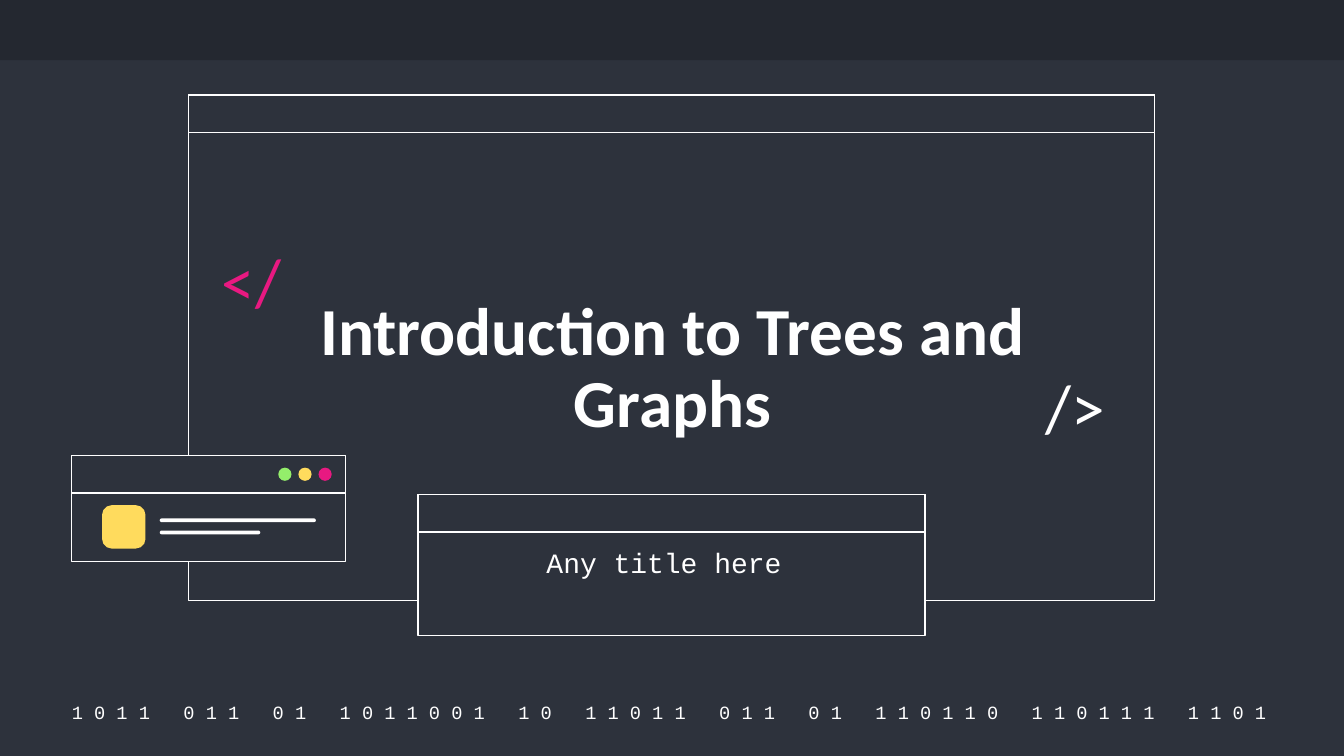
from dataclasses import dataclass

from pptx import Presentation
from pptx.dml.color import RGBColor
from pptx.enum.shapes import MSO_SHAPE
from pptx.enum.text import MSO_ANCHOR, PP_ALIGN
from pptx.util import Cm, Pt

COLORS = {
    "dark": "2D323C",
    "band": "242830",
    "white": "FFFFFF",
    "pink": "E81981",
    "yellow": "FFDB5D",
    "green": "94EE6B",
}
TITLE_BAR = 0.71  # height of every window's title bar, cm


@dataclass
class Box:
    left: float
    top: float
    width: float
    height: float

    def emu(self) -> list:
        return [Cm(v) for v in (self.left, self.top, self.width, self.height)]


@dataclass
class Label:
    text: str
    box: Box
    size: float
    font: str = "Calibri"
    color: str = "white"
    bold: bool = False
    align: PP_ALIGN = PP_ALIGN.CENTER
    anchor: MSO_ANCHOR = MSO_ANCHOR.MIDDLE
    spacing: float = 0.9


def rgb(name: str) -> RGBColor:
    return RGBColor.from_string(COLORS[name])


def draw_shape(shapes, kind: MSO_SHAPE, box: Box, fill: str,
               outlined: bool = False, rounding: float | None = None) -> None:
    sp = shapes.add_shape(kind, *box.emu())
    sp.shadow.inherit = False
    sp.fill.solid()
    sp.fill.fore_color.rgb = rgb(fill)
    if outlined:
        sp.line.color.rgb = rgb("white")
        sp.line.width = Pt(0.75)
    else:
        sp.line.fill.background()
    if rounding is not None:
        sp.adjustments[0] = rounding


def draw_window(shapes, box: Box) -> None:
    bar = Box(box.left, box.top, box.width, TITLE_BAR)
    for part in (box, bar):
        draw_shape(shapes, MSO_SHAPE.RECTANGLE, part, "dark", outlined=True)


def draw_label(shapes, label: Label) -> None:
    tf = shapes.add_textbox(*label.box.emu()).text_frame
    tf.word_wrap = True
    tf.vertical_anchor = label.anchor
    tf.margin_left = tf.margin_right = tf.margin_top = tf.margin_bottom = Cm(0.25)
    p = tf.paragraphs[0]
    p.text = label.text
    p.alignment = label.align
    p.line_spacing = label.spacing
    font = p.runs[0].font
    font.name, font.size, font.bold = label.font, Pt(label.size), label.bold
    font.color.rgb = rgb(label.color)


prs = Presentation()
prs.slide_width, prs.slide_height = Cm(25.4), Cm(14.29)
s = prs.slides.add_slide(prs.slide_layouts[6])
s.background.fill.solid()
s.background.fill.fore_color.rgb = rgb("dark")

# Top band and binary footer
draw_shape(s.shapes, MSO_SHAPE.RECTANGLE, Box(0, 0, 25.4, 1.14), "band")
groups = "1011 011 01 1011001 10 11011 011 01 110110 110111 1101".split()
binary = "   ".join(" ".join(group) for group in groups) + " "
draw_label(s.shapes, Label(binary, Box(0.97, 13.21, 23.55, 0.51), 10,
                           "Courier New", spacing=1.0))

# Main and subtitle windows
for window in (Box(3.56, 1.8, 18.26, 9.55), Box(7.9, 9.35, 9.58, 2.67)):
    draw_window(s.shapes.add_group_shape().shapes, window)

# Code brackets, title and subtitle
LABELS = [
    Label("</", Box(3.94, 4.55, 1.96, 1.68), 36, color="pink", align=PP_ALIGN.LEFT),
    Label("/>", Box(19.51, 6.93, 1.96, 1.68), 36, align=PP_ALIGN.LEFT),
    Label("Introduction to Trees and Graphs", Box(5.74, 3.58, 13.94, 5.03), 36,
          bold=True, anchor=MSO_ANCHOR.BOTTOM),
    Label("Any title here ", Box(8.48, 10.06, 8.46, 1.98), 15, "Courier New",
          anchor=MSO_ANCHOR.TOP, spacing=1.0),
]
for label in LABELS:
    draw_label(s.shapes, label)

# Small browser window: icon, text lines and buttons
browser = s.shapes.add_group_shape().shapes
draw_window(browser, Box(1.35, 8.61, 5.18, 2))
draw_shape(browser, MSO_SHAPE.ROUNDED_RECTANGLE, Box(1.93, 9.55, 0.82, 0.82),
           "yellow", rounding=0.22)
for top, width in ((9.8, 2.95), (10.03, 1.9)):
    draw_shape(browser, MSO_SHAPE.ROUNDED_RECTANGLE, Box(3.02, top, width, 0.07),
               "white", rounding=0.5)
for i, color in enumerate(("green", "yellow", "pink")):
    draw_shape(browser, MSO_SHAPE.OVAL, Box(5.26 + 0.38 * i, 8.84, 0.25, 0.25), color)

prs.save("out.pptx")
